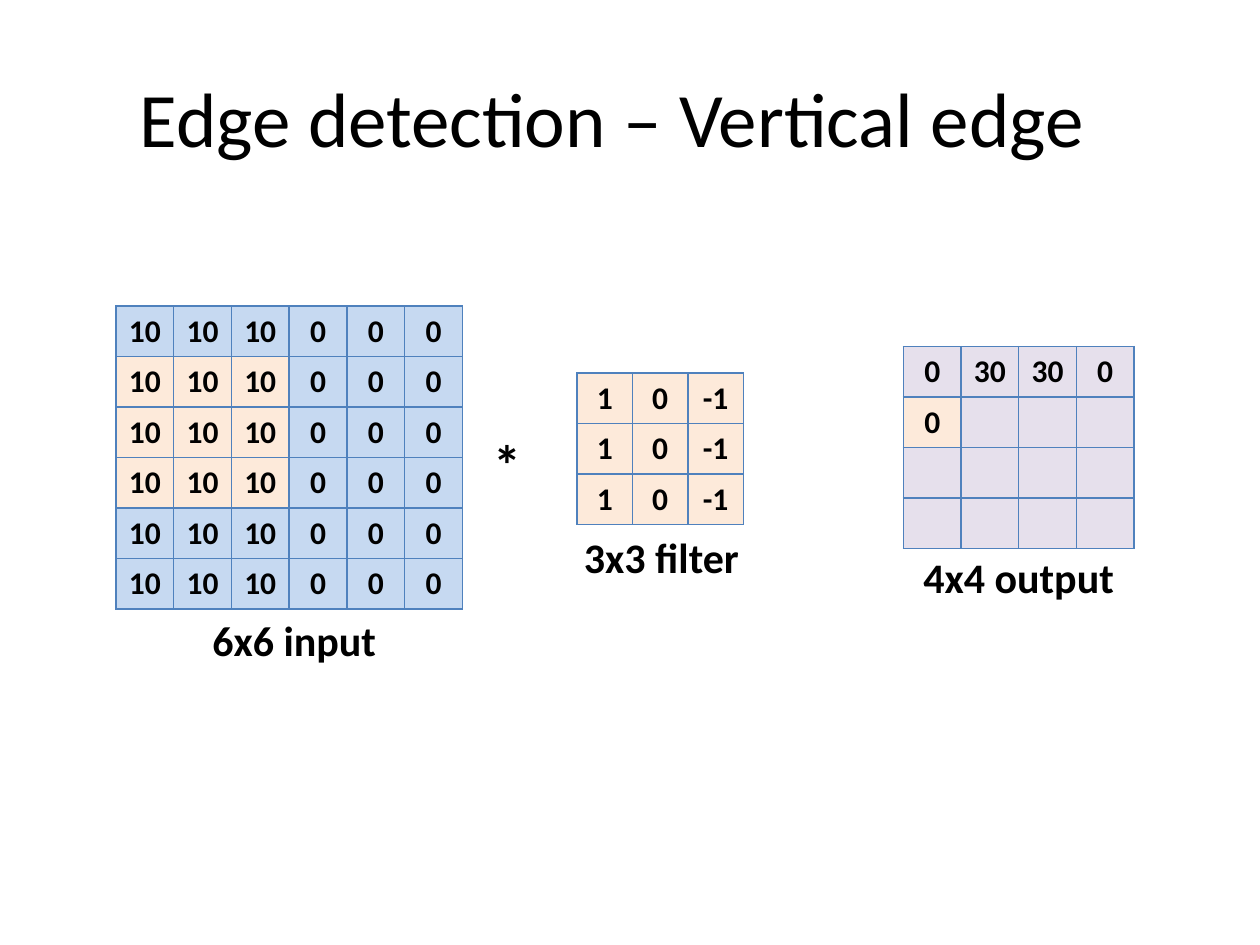
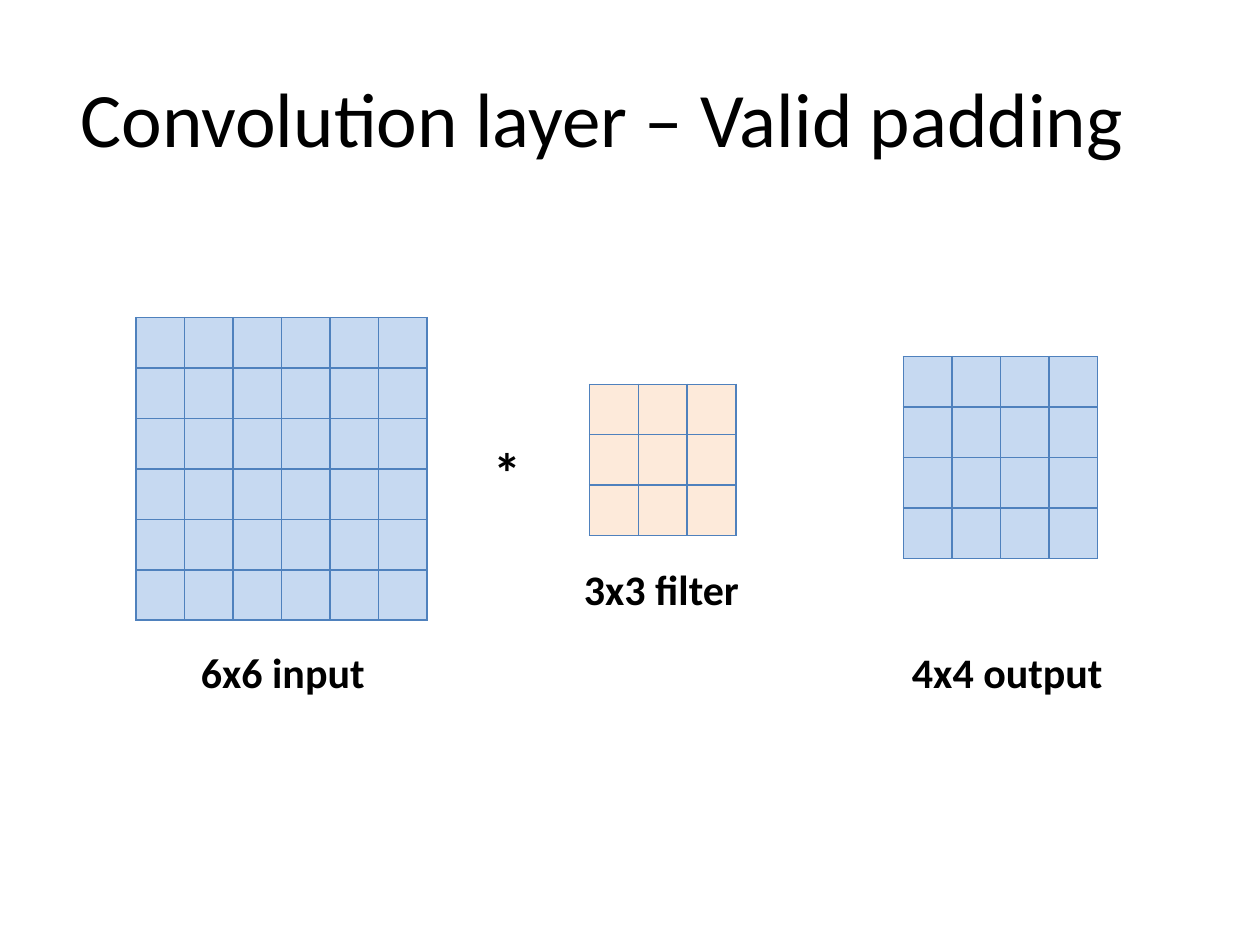
from lxml import etree
from pptx import Presentation
from pptx.dml.color import RGBColor
from pptx.enum.text import MSO_ANCHOR, MSO_AUTO_SIZE, PP_ALIGN
from pptx.oxml.ns import qn
from pptx.util import Inches, Pt

CENTER, LEFT = PP_ALIGN.CENTER, PP_ALIGN.LEFT
MIDDLE = MSO_ANCHOR.MIDDLE
GROW = MSO_AUTO_SIZE.SHAPE_TO_FIT_TEXT

FONT = "Calibri"
BLACK, GRID = "000000", "4F81BD"
BLUE, PEACH, LILAC = "C6D9F1", "FDEADA", "E6E0EC"
ROW_HEIGHT = 0.4
INPUT_ROW = [10, 10, 10, 0, 0, 0]
FILTER_ROW = [1, 0, -1]


def rgb(value):
    return RGBColor.from_string(value)


def write(tf, text, size=18, bold=True, color=BLACK, align=CENTER):
    p = tf.paragraphs[0]
    p.alignment = align
    r = p.add_run()
    r.text = text
    r.font.name = FONT
    r.font.size = Pt(size)
    r.font.bold = bold
    r.font.color.rgb = rgb(color)


def set_borders(cell, color=GRID, width=1):
    tc_pr = cell._tc.get_or_add_tcPr()
    for side in ("a:lnL", "a:lnR", "a:lnT", "a:lnB"):
        ln = etree.SubElement(tc_pr, qn(side), w=str(Pt(width)))
        fill = etree.SubElement(ln, qn("a:solidFill"))
        etree.SubElement(fill, qn("a:srgbClr"), val=color)


class Deck:
    def __init__(self):
        self.prs = Presentation()
        self.prs.slide_width, self.prs.slide_height = Inches(10), Inches(7.5)
        self.s = None

    def slide(self, title, right_inset):
        """Start a slide; a wider right inset moves the centred title left."""
        self.s = self.prs.slides.add_slide(self.prs.slide_layouts[6])
        tf = self.box(0.5, 0.3, 9, 1.25)
        tf.vertical_anchor = MIDDLE
        tf.margin_right = Inches(right_inset)
        write(tf, title, size=44, bold=False)

    def box(self, x, y, w, h):
        sp = self.s.shapes.add_textbox(Inches(x), Inches(y), Inches(w), Inches(h))
        sp.text_frame.word_wrap = True
        return sp.text_frame

    def caption(self, text, x, y, w=2.33):
        tf = self.box(x, y, w, 0.5)
        tf.auto_size = GROW
        write(tf, text, size=24)

    def operator(self, text, y):
        tf = self.box(3.82, y, 0.43, 0.64)
        tf.word_wrap = False
        tf.auto_size = GROW
        write(tf, text, size=32, align=LEFT)

    def matrix(self, n, x, y, w, fill, rows=(), marked=(), mark_fill=PEACH):
        """Draw an n x n grid; rows holds values from the top left, marked holds (row, column) pairs."""
        table = self.s.shapes.add_table(
            n, n, Inches(x), Inches(y), Inches(w), Inches(n * ROW_HEIGHT)).table
        for column in table.columns:
            column.width = Inches(w / n)
        for i in range(n):
            values = rows[i] if i < len(rows) else []
            for j in range(n):
                cell = table.cell(i, j)
                set_borders(cell)
                cell.fill.solid()
                cell.fill.fore_color.rgb = rgb(mark_fill if (i, j) in marked else fill)
                if j < len(values):
                    write(cell.text_frame, str(values[j]))


def vertical_edge(deck):
    deck.slide("Edge detection – Vertical edge", right_inset=0.38)
    window = [(i, j) for i in range(1, 4) for j in range(3)]
    deck.matrix(6, 0.92, 2.43, 2.75, BLUE, [INPUT_ROW] * 6, window)
    deck.matrix(3, 4.58, 2.96, 1.32, PEACH, [FILTER_ROW] * 3)
    deck.matrix(4, 7.17, 2.75, 1.83, LILAC, [[0, 30, 30, 0], [0]], [(1, 0)])
    deck.caption("6x6 input", 1.17, 4.83)
    deck.caption("3x3 filter", 4.5, 4.17, 1.5)
    deck.caption("4x4 output", 6.92, 4.33)
    deck.operator("*", 3.36)


def valid_padding(deck):
    deck.slide("Convolution layer – Valid padding", right_inset=0.54)
    for n, x, y, w, fill in ((6, 1.08, 2.52, 2.31, BLUE),
                             (3, 4.68, 3.05, 1.16, PEACH),
                             (4, 7.17, 2.83, 1.54, BLUE)):
        deck.matrix(n, x, y, w, fill)
    deck.caption("6x6 input", 1.08, 5.08)
    deck.caption("3x3 filter", 4.5, 4.42, 1.5)
    deck.caption("4x4 output", 6.83, 5.08)
    deck.operator("*", 3.42)


def main():
    deck = Deck()
    vertical_edge(deck)
    valid_padding(deck)
    deck.prs.save("out.pptx")


if __name__ == "__main__":
    main()
